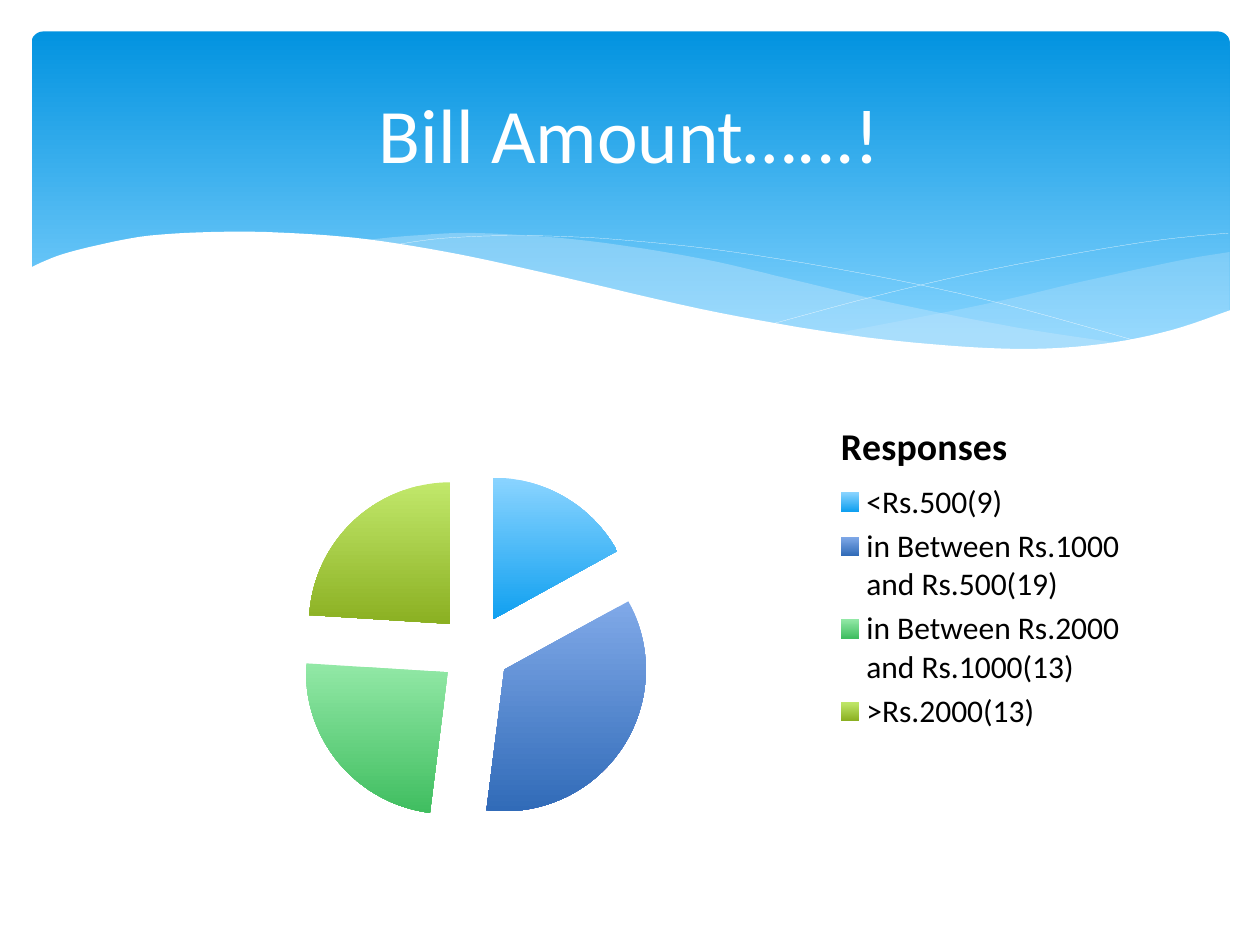
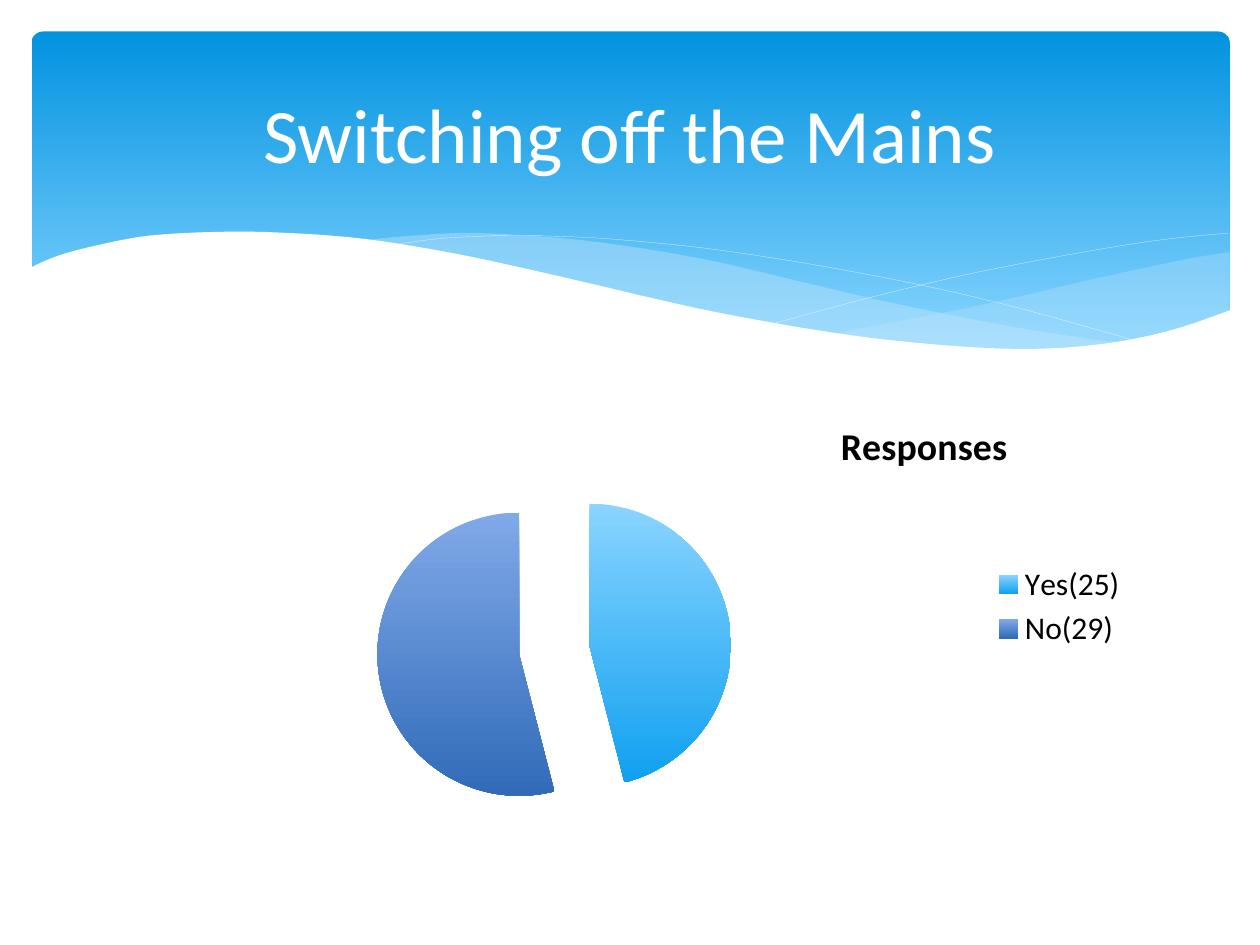
import pptx
import pptx.chart.data
import pptx.dml.color
import pptx.enum.chart
import pptx.enum.shapes
import pptx.enum.text
import pptx.oxml
import pptx.oxml.ns
import pptx.util
import lxml.etree

Inches = pptx.util.Inches
Pt = pptx.util.Pt
RGBColor = pptx.dml.color.RGBColor
qn = pptx.oxml.ns.qn

SLIDES = [
    ("Bill Amount…...!", [
        ("<Rs.500(9)", 17),
        ("in Between Rs.1000 and Rs.500(19)", 35),
        ("in Between Rs.2000 and Rs.1000(13)", 24),
        (">Rs.2000(13)", 24),
    ]),
    ("Switching off the Mains", [("Yes(25)", 46), ("No(29)", 54)]),
]
SERIES = "Responses"
FONT = "Calibri"

WHITE = RGBColor(0xFF, 0xFF, 0xFF)
BLACK = RGBColor(0, 0, 0)
MIST = RGBColor(0xC6, 0xE7, 0xFC)
BAND = (RGBColor(0x02, 0x93, 0xE0), RGBColor(0x83, 0xD3, 0xFE))
SLICES = [
    (RGBColor(0x8A, 0xD4, 0xFF), RGBColor(0x10, 0xA0, 0xF0)),
    (RGBColor(0x80, 0xA9, 0xE8), RGBColor(0x31, 0x6B, 0xB8)),
    (RGBColor(0x92, 0xE8, 0xA6), RGBColor(0x40, 0xBE, 0x60)),
    (RGBColor(0xC1, 0xE8, 0x6B), RGBColor(0x8B, 0xB0, 0x22)),
]

BAND_BOX = (0.25, 0.25, 9.51, 2.7)
TITLE_BOX = (0.5, 0.37, 9, 1.37)
CHART_BOX = (0.95, 2.93, 8.1, 3.77)
TITLE_FONT = {"name": FONT, "size": Pt(44), "color": WHITE}
CHART_FONT = {"name": FONT, "size": Pt(18), "color": BLACK}
HEAD_FONT = {"name": FONT, "size": Pt(21.6), "bold": True, "color": BLACK}
HEAD_SPOT = {"x": 0.7, "y": 0.09}
BURST = 25
GRAIN = 1000

WAVES = [
    {"curves": [
        [(9.76, 2), (9.35, 2.07), (8.61, 2.23), (7.79, 2.42), (6.61, 2.65)],
        [(6.61, 2.65), (7.19, 2.72), (8.03, 2.78), (8.63, 2.75),
         (9.21, 2.65), (9.76, 2.47)]],
     "fill": MIST, "alpha": 29},
    {"curves": [
        [(8.93, 2.73), (8.07, 2.6), (7.06, 2.4), (6.29, 2.22), (5.55, 2.05),
         (4.65, 1.91), (3.8, 1.85), (3.28, 1.87), (2.86, 1.91)],
        [(2.86, 1.91), (3.62, 2.03), (4.49, 2.22), (5.66, 2.48), (6.5, 2.64),
         (7.22, 2.74), (7.96, 2.78), (8.48, 2.77), (8.93, 2.73)]],
     "fill": MIST, "alpha": 40},
    {"curves": [
        [(3.09, 1.95), (3.53, 1.89), (4.16, 1.87), (4.89, 1.9), (5.82, 2),
         (6.95, 2.19), (7.95, 2.41), (9.07, 2.72)]]},
    {"curves": [
        [(6.13, 2.57), (6.95, 2.35), (7.76, 2.16), (8.66, 1.99),
         (9.24, 1.9), (9.75, 1.85)]]},
    {"curves": [
        [(9.77, 2.46), (9.3, 2.62), (8.75, 2.73), (8.09, 2.77), (7.26, 2.72),
         (6.48, 2.62), (5.55, 2.45), (4.47, 2.2), (3.65, 2.02), (2.92, 1.9),
         (2.3, 1.85), (1.77, 1.84), (1.19, 1.87), (0.76, 1.95),
         (0.46, 2.03), (0.23, 2.13)],
        [(0.23, 3.29), (9.77, 3.29)]],
     "fill": WHITE},
]


def place(box):
    return [Inches(n) for n in box]


def style(font, form):
    for key, val in form.items():
        if key == "color":
            font.color.rgb = val
        else:
            setattr(font, key, val)


def shade(fill, pair, end=1.0):
    fill.gradient()
    fill.gradient_angle = 270
    for stop, color, spot in zip(fill.gradient_stops, pair, (0, end)):
        stop.color.rgb = color
        stop.position = spot


def smooth(knots, steps=6):
    if len(knots) < 3:
        return knots
    ends = [knots[0], *knots, knots[-1]]
    dots = [knots[0]]
    for a, b, c, d in zip(ends, ends[1:], ends[2:], ends[3:]):
        for step in range(1, steps + 1):
            t = step / steps
            dots.append(tuple(
                q + t * (r - p) / 2 + t * t * (2 * p - 5 * q + 4 * r - s) / 2
                + t ** 3 * (3 * q - p - 3 * r + s) / 2
                for p, q, r, s in zip(a, b, c, d)))
    return dots


def add_wave(slide, wave):
    dots = [(round(x * GRAIN), round(y * GRAIN))
            for curve in wave["curves"] for x, y in smooth(curve)]
    solid = "fill" in wave
    pen = slide.shapes.build_freeform(*dots[0], scale=Inches(1) / GRAIN)
    pen.add_line_segments(dots[1:], close=solid)
    shape = pen.convert_to_shape()
    shape.shadow.inherit = False
    if solid:
        shape.fill.solid()
        shape.fill.fore_color.rgb = wave["fill"]
        shape.line.fill.background()
    else:
        shape.fill.background()
        shape.line.color.rgb = WHITE
        shape.line.width = Pt(0.1)
    if "alpha" in wave:
        color = next(shape.element.iter(qn("a:srgbClr")))
        lxml.etree.SubElement(color, qn("a:alpha"), val=str(wave["alpha"] * 1000))


def add_band(slide):
    band = slide.shapes.add_shape(
        pptx.enum.shapes.MSO_SHAPE.ROUNDED_RECTANGLE, *place(BAND_BOX))
    band.adjustments[0] = 0.034
    band.shadow.inherit = False
    band.line.fill.background()
    shade(band.fill, BAND, 0.9)
    for wave in WAVES:
        add_wave(slide, wave)


def add_title(slide, text):
    frame = slide.shapes.add_textbox(*place(TITLE_BOX)).text_frame
    frame.word_wrap = True
    frame.vertical_anchor = pptx.enum.text.MSO_ANCHOR.MIDDLE
    para = frame.paragraphs[0]
    para.alignment = pptx.enum.text.PP_ALIGN.CENTER
    run = para.add_run()
    run.text = text
    style(run.font, TITLE_FONT)


def move_head(head):
    for old in head.findall(qn("c:layout")):
        head.remove(old)
    layout = pptx.oxml.parse_xml(
        f'<c:layout {pptx.oxml.ns.nsdecls("c")}><c:manualLayout>'
        '<c:xMode val="edge"/><c:yMode val="edge"/>'
        + "".join(f'<c:{key} val="{val}"/>' for key, val in HEAD_SPOT.items())
        + "</c:manualLayout></c:layout>")
    head.find(qn("c:tx")).addnext(layout)


def add_pie(slide, rows):
    data = pptx.chart.data.CategoryChartData()
    data.categories = [name for name, _ in rows]
    data.add_series(SERIES, [val for _, val in rows])
    chart = slide.shapes.add_chart(
        pptx.enum.chart.XL_CHART_TYPE.PIE, *place(CHART_BOX), data).chart
    style(chart.font, CHART_FONT)

    chart.has_title = True
    run = chart.chart_title.text_frame.paragraphs[0].add_run()
    run.text = SERIES
    style(run.font, HEAD_FONT)
    move_head(next(chart.element.iter(qn("c:title"))))

    chart.has_legend = True
    chart.legend.position = pptx.enum.chart.XL_LEGEND_POSITION.RIGHT
    chart.legend.include_in_layout = False

    plot = chart.plots[0]
    plot.vary_by_categories = True
    for i in range(len(rows)):
        look = plot.series[0].points[i].format
        shade(look.fill, SLICES[i])
        look.line.fill.background()
    burst = pptx.oxml.parse_xml(
        f'<c:explosion {pptx.oxml.ns.nsdecls("c")} val="{BURST}"/>')
    next(chart.element.iter(qn("c:dPt"))).addprevious(burst)


def main():
    deck = pptx.Presentation()
    deck.slide_width, deck.slide_height = Inches(10), Inches(7.5)
    for title, rows in SLIDES:
        slide = deck.slides.add_slide(deck.slide_layouts[6])
        slide.background.fill.solid()
        slide.background.fill.fore_color.rgb = WHITE
        add_band(slide)
        add_pie(slide, rows)
        add_title(slide, title)
    deck.save("out.pptx")


if __name__ == "__main__":
    main()
